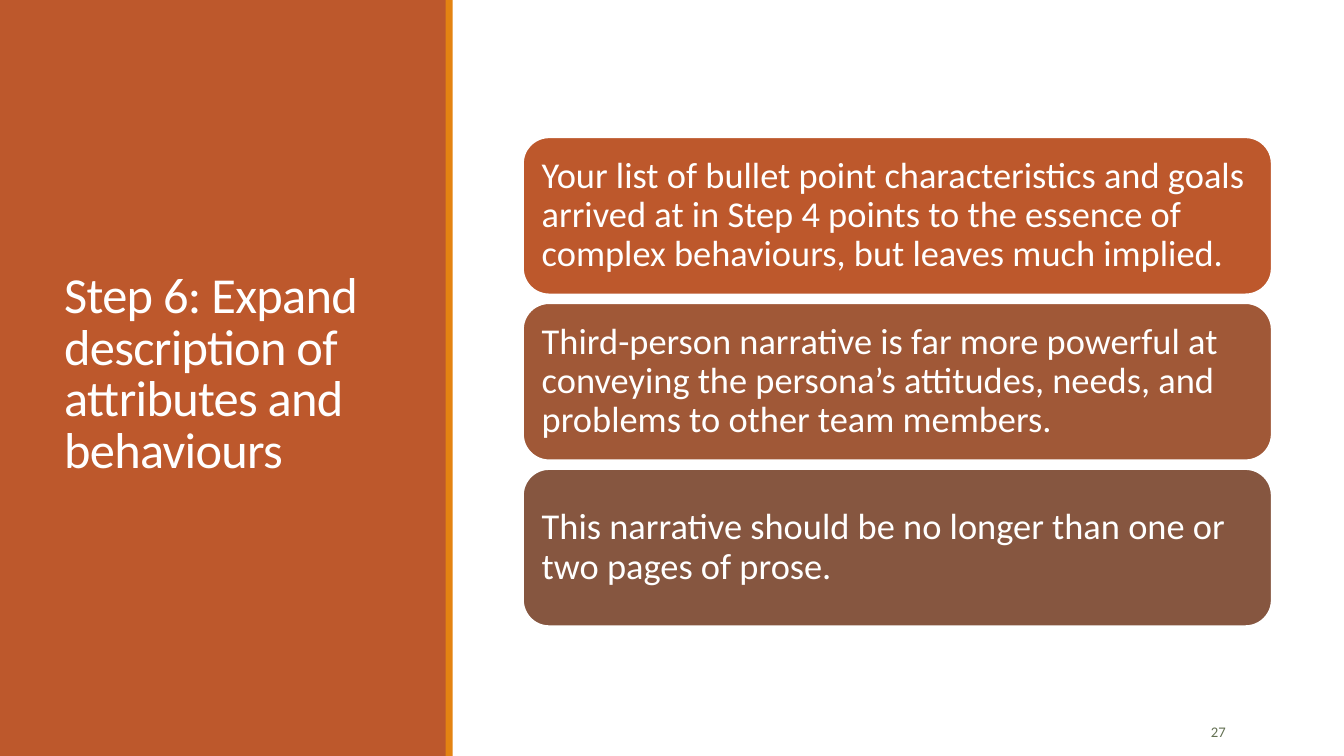
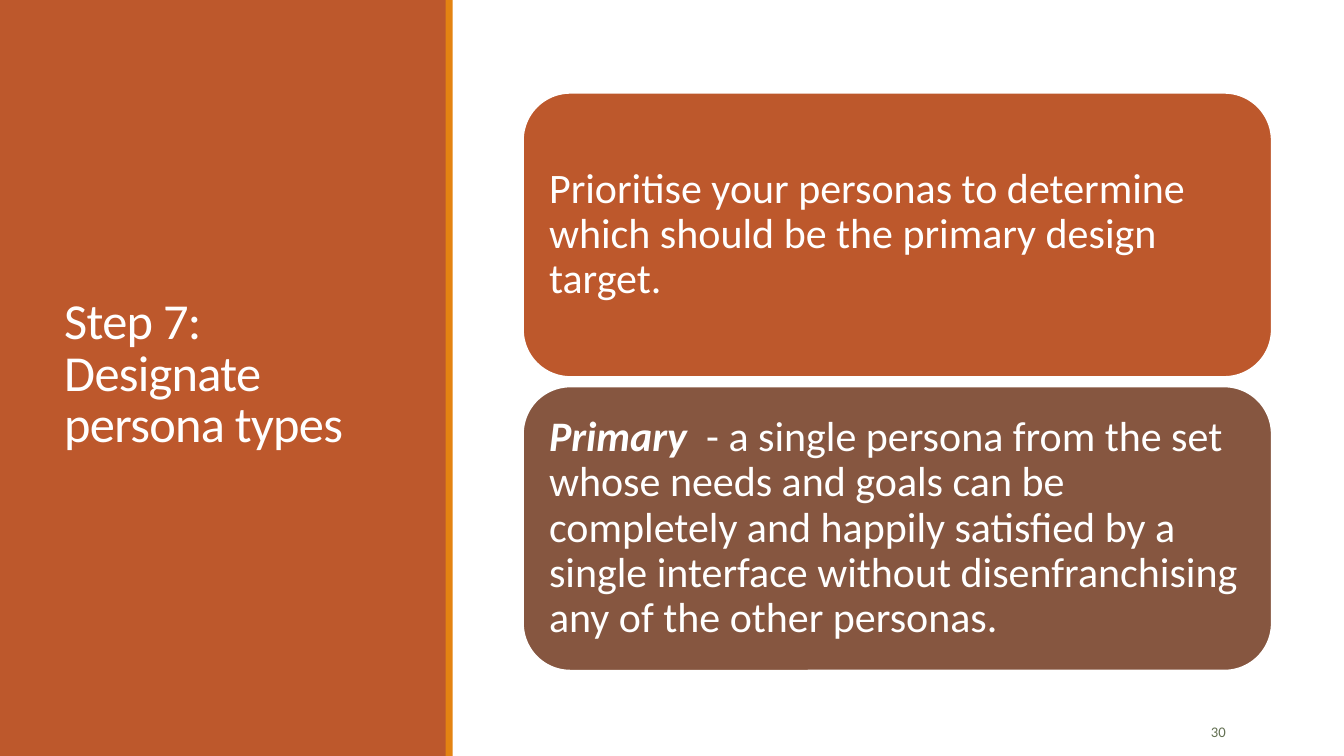
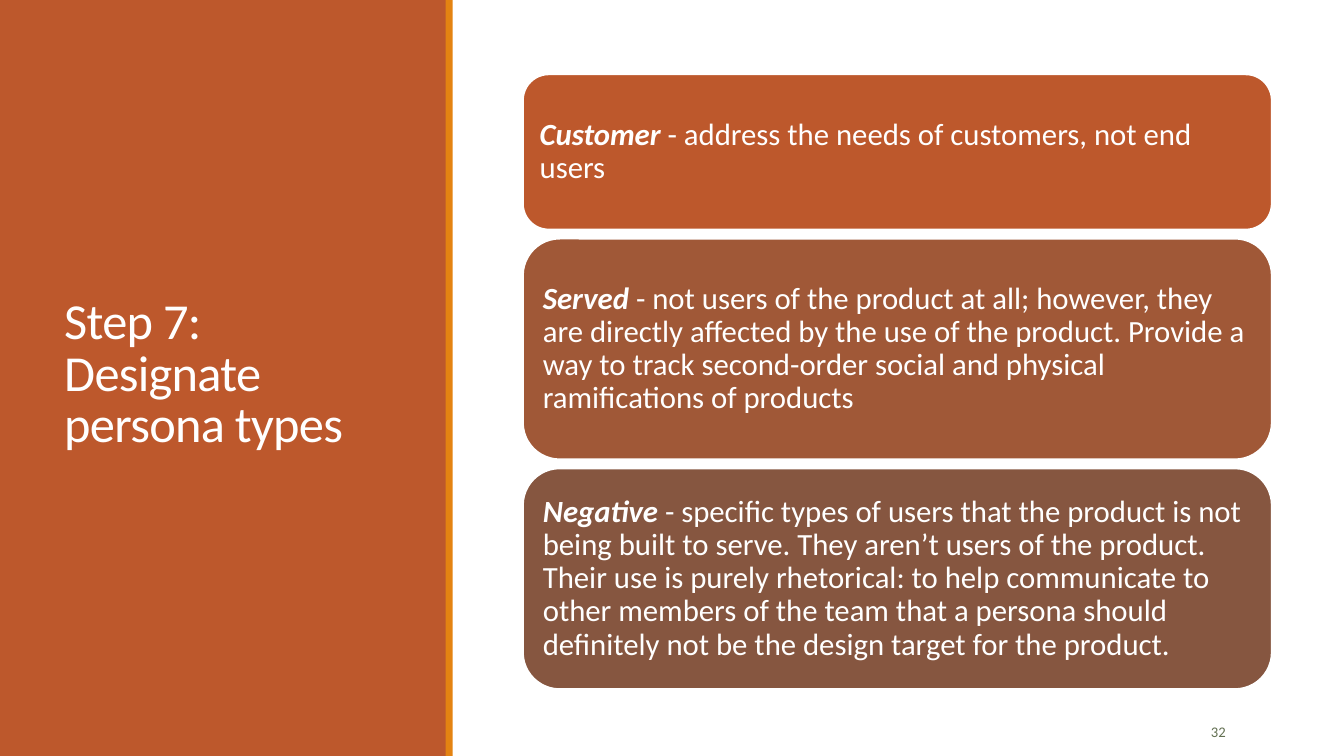
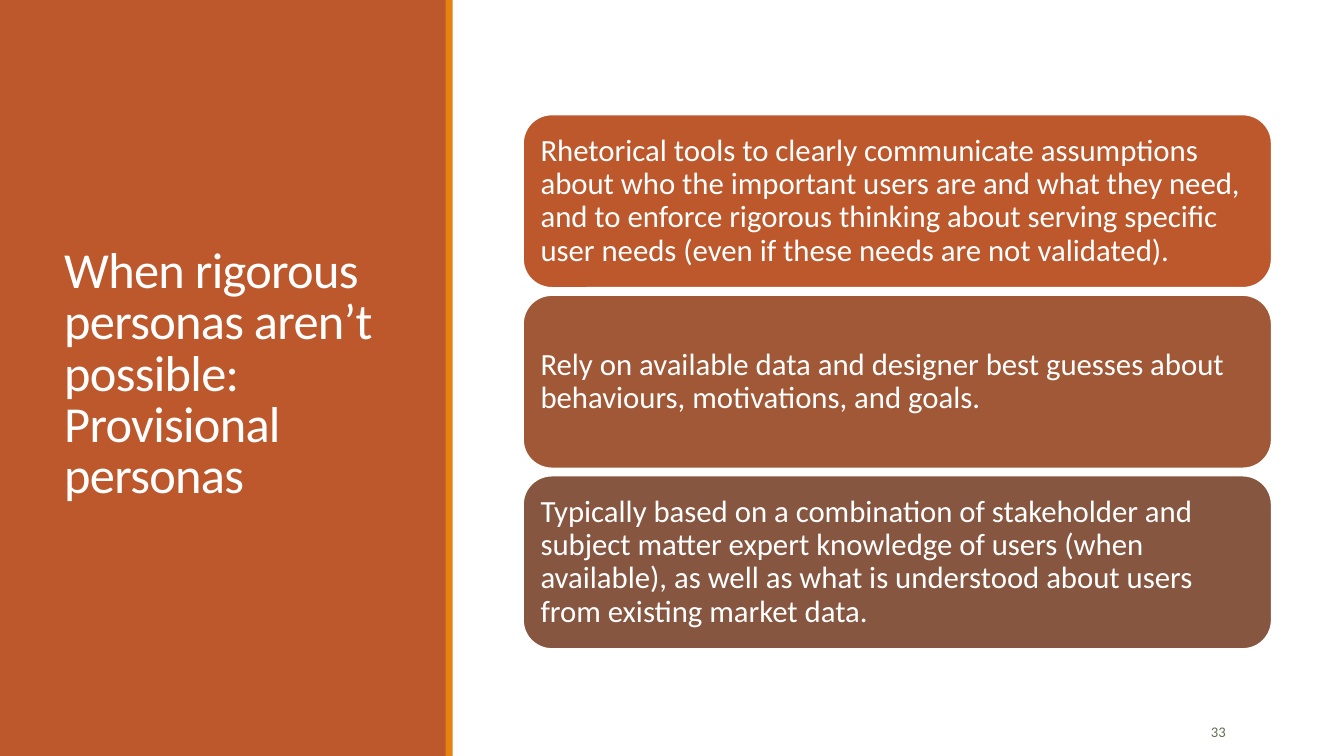
import pptx
import pptx.util
import pptx.dml.color
import pptx.enum.shapes
import pptx.enum.text

Cm = pptx.util.Cm
Pt = pptx.util.Pt
RGBColor = pptx.dml.color.RGBColor
Shape = pptx.enum.shapes.MSO_SHAPE
Anchor = pptx.enum.text.MSO_ANCHOR
Align = pptx.enum.text.PP_ALIGN

FONT = "Calibri"
WHITE = RGBColor(0xFF, 0xFF, 0xFF)
RUST = RGBColor(0xBD, 0x58, 0x2C)
SIENNA = RGBColor(0xA0, 0x58, 0x37)
UMBER = RGBColor(0x86, 0x56, 0x40)
AMBER = RGBColor(0xE4, 0x83, 0x12)
OLIVE = RGBColor(0x63, 0x70, 0x52)
CARD_COLOURS = {2: (RUST, UMBER), 3: (RUST, SIENNA, UMBER)}

# Boxes are left, top, width, height in centimetres.
PAGE_WIDTH, PAGE_HEIGHT = 33.87, 19.05
SIDE_PANEL = (0, 0, 11.25, PAGE_HEIGHT)
STRIPE_WIDTH = 0.18
CARD_AREA = (13.18, 1.62, 18.87, 16)
NUMBER_BOX = (28.12, 17.93, 3.02, 1.02)

STEP_7 = "Step 7: Designate persona types"

# Each card is (bold lead, text).
PAGES = [
    dict(
        title="Step 6: Expand description of attributes and behaviours",
        number=27, size=26, inset=0.28, heights=(3.96,) * 3, gap=0.22,
        cards=[
            ("", "Your list of bullet point characteristics and goals arrived at in "
                 "Step 4 points to the essence of complex behaviours, but leaves much "
                 "implied."),
            ("", "Third-person narrative is far more powerful at conveying the "
                 "persona’s attitudes, needs, and problems to other team members."),
            ("", "This narrative should be no longer than one or two pages of prose."),
        ],
    ),
    dict(
        title=STEP_7,
        number=30, size=30, inset=0.31, heights=(7.16,) * 2, gap=0.24,
        cards=[
            ("", "Prioritise your personas to determine which should be the primary "
                 "design target."),
            ("Primary", "  - a single persona from the set whose needs and goals can be "
                        "completely and happily satisfied by a single interface without "
                        "disenfranchising any of the other personas."),
        ],
    ),
    dict(
        title=STEP_7,
        number=32, size=22, inset=0.23, heights=(3.91, 5.56, 5.56), gap=0.23,
        cards=[
            ("Customer", " - address the needs of customers, not end users"),
            ("Served", " - not users of the product at all; however, they are directly "
                       "affected by the use of the product. Provide a way to track "
                       "second-order social and physical ramifications of products"),
            ("Negative", " - specific types of users that the product is not being built "
                         "to serve. They aren’t users of the product. Their use is purely "
                         "rhetorical: to help communicate to other members of the team "
                         "that a persona should definitely not be the design target for "
                         "the product."),
        ],
    ),
    dict(
        title="When rigorous personas aren’t possible: Provisional personas",
        number=33, size=22, inset=0.23, heights=(4.37,) * 3, gap=0.18,
        cards=[
            ("", "Rhetorical tools to clearly communicate assumptions about who the "
                 "important users are and what they need, and to enforce rigorous "
                 "thinking about serving specific user needs (even if these needs are "
                 "not validated)."),
            ("", "Rely on available data and designer best guesses about behaviours, "
                 "motivations, and goals."),
            ("", "Typically based on a combination of stakeholder and subject matter "
                 "expert knowledge of users (when available), as well as what is "
                 "understood about users from existing market data."),
        ],
    ),
]


def write_text(shape, text, *, size, lead="", colour=WHITE, align=Align.LEFT,
               line_spacing=1.0, tracking=None, inset=None):
    """Fill a shape with one paragraph, led by an optional bold italic span."""
    frame = shape.text_frame
    frame.word_wrap = True
    frame.vertical_anchor = Anchor.MIDDLE
    if inset is not None:
        frame.margin_left = frame.margin_right = Cm(inset)
        frame.margin_top = frame.margin_bottom = Cm(inset)
    para = frame.paragraphs[0]
    para.alignment = align
    para.line_spacing = line_spacing
    for words, strong in ((lead, True), (text, False)):
        if not words:
            continue
        span = para.add_run()
        span.text = words
        span.font.name = FONT
        span.font.size = Pt(size)
        span.font.color.rgb = colour
        span.font.bold = span.font.italic = strong
        if tracking is not None:
            span.font._element.set("spc", str(round(tracking * 100)))


def add_block(page, kind, box, fill, line=None):
    block = page.shapes.add_shape(kind, *map(Cm, box))
    block.shadow.inherit = False
    block.fill.solid()
    block.fill.fore_color.rgb = fill
    if line is None:
        block.line.fill.background()
    else:
        block.line.color.rgb = line
        block.line.width = Pt(1.25)
    return block


def add_side_panel(page, box, title):
    left, top, width, height = box
    add_block(page, Shape.RECTANGLE, box, RUST)
    stripe = (left + width - 0.02, top, STRIPE_WIDTH, height)
    add_block(page, Shape.RECTANGLE, stripe, AMBER)
    title_box = (left + 1.37, top + 1.45, width - 2.69, height - 3.02)
    write_text(page.shapes.add_textbox(*map(Cm, title_box)), title,
               size=36, line_spacing=0.85, tracking=-0.5)


def add_card_stack(page, box, cards, heights, gap, size, inset):
    """Stack the cards in the box, centred from top to bottom."""
    left, top, width, height = box
    card_top = top + (height - sum(heights) - gap * (len(cards) - 1)) / 2
    for (lead, text), card_height, fill in zip(cards, heights, CARD_COLOURS[len(cards)]):
        card = add_block(page, Shape.ROUNDED_RECTANGLE,
                         (left, card_top, width, card_height), fill, line=WHITE)
        write_text(card, text, lead=lead, size=size, line_spacing=0.9, inset=inset)
        card_top += card_height + gap


def add_page_number(page, box, number):
    write_text(page.shapes.add_textbox(*map(Cm, box)), str(number),
               size=10.5, colour=OLIVE, align=Align.RIGHT)


def main():
    deck = pptx.Presentation()
    deck.slide_width, deck.slide_height = Cm(PAGE_WIDTH), Cm(PAGE_HEIGHT)
    blank = deck.slide_layouts[6]
    for content in PAGES:
        page = deck.slides.add_slide(blank)
        add_side_panel(page, SIDE_PANEL, content["title"])
        add_page_number(page, NUMBER_BOX, content["number"])
        add_card_stack(page, CARD_AREA, content["cards"], content["heights"],
                       content["gap"], content["size"], content["inset"])
    deck.save("out.pptx")


if __name__ == "__main__":
    main()
